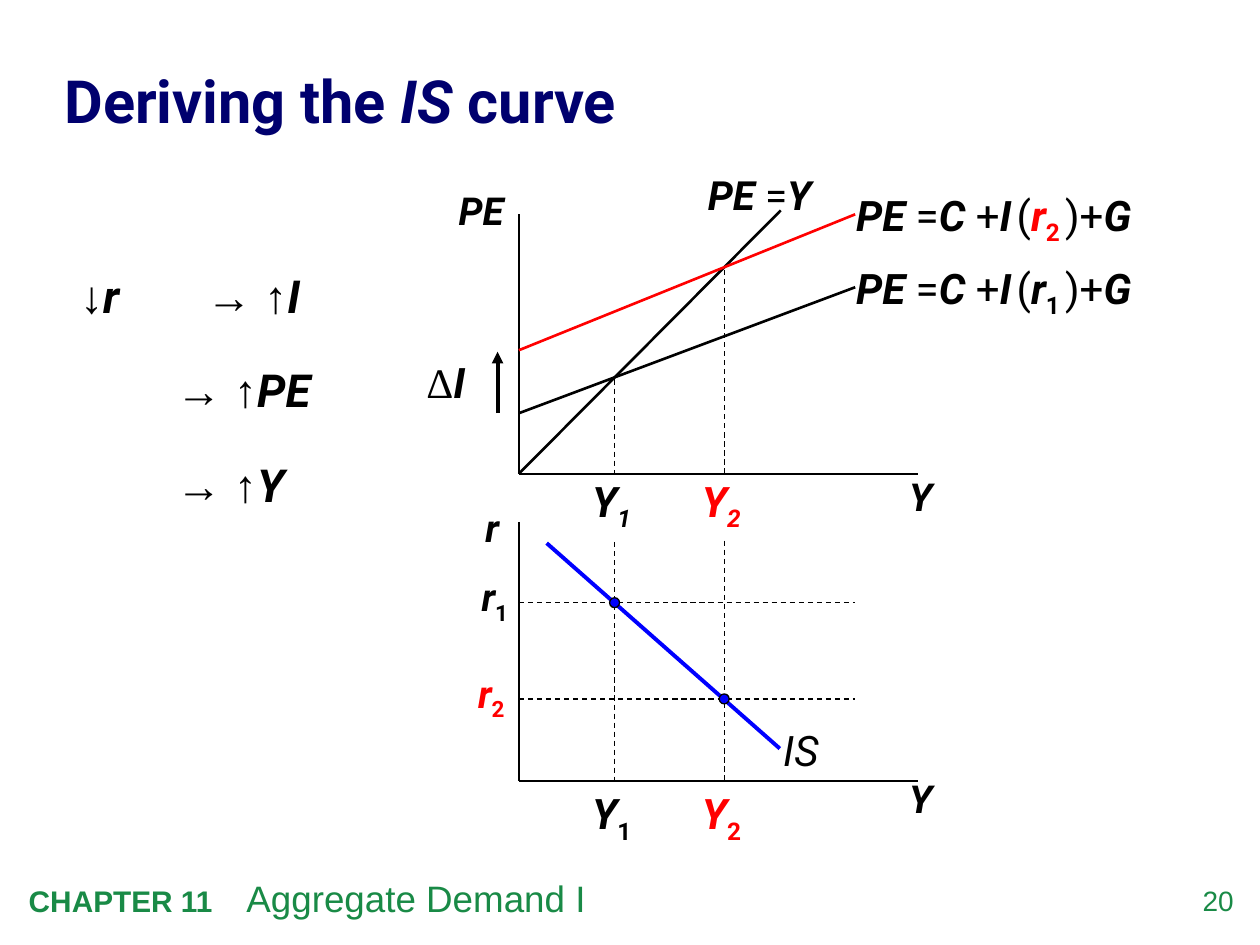
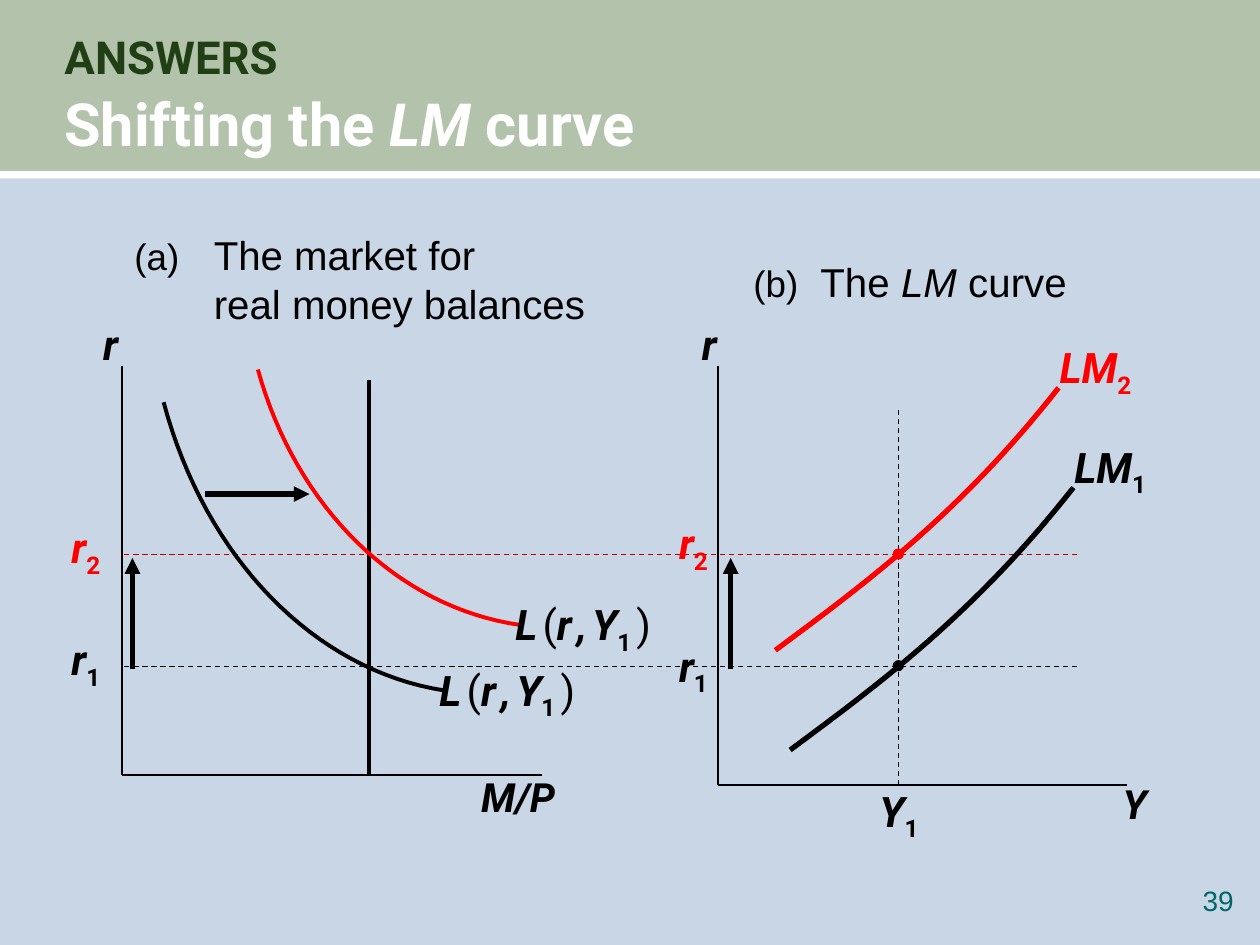
from pptx import Presentation
from pptx.dml.color import RGBColor
from pptx.enum.dml import MSO_LINE
from pptx.enum.shapes import MSO_CONNECTOR as Link, MSO_SHAPE as Shape
from pptx.enum.text import MSO_ANCHOR as Anchor, PP_ALIGN as Align
from pptx.oxml.ns import qn
from pptx.util import Cm, Pt
from lxml.etree import SubElement as Sub

INK = RGBColor(0, 0, 0)
WHITE = RGBColor(255, 255, 255)
RED = RGBColor(255, 0, 0)
WINE = RGBColor(0xC0, 0, 0)
BLUE = RGBColor(0, 0, 255)
NAVY = RGBColor(0, 0, 0x6E)
GREEN = RGBColor(0x19, 0x8A, 0x46)
TEAL = RGBColor(0, 0x66, 0x66)
MOSS = RGBColor(0x20, 0x3F, 0x15)
SAGE = RGBColor(0xB3, 0xC2, 0xAA)
SKY = RGBColor(0xC9, 0xD6, 0xE5)

PLAIN = dict(bold=False, italic=False)
ROMAN = dict(italic=False)
LOW = dict(sub=True, italic=False)
ARIAL = dict(font="Arial", **PLAIN)
GAP = (" ", dict(size=12))
SNUG = (0.13, 0.13, 0.13, 0.25)


def text(slide, box, runs, align=Align.LEFT, anchor=Anchor.TOP, inset=(0.25, 0.13, 0.25, 0.13),
         fill=None, lead=None, tab=None, hang=None, **base):
    """Add a text box whose runs are strings or (string, format) pairs."""
    shape = slide.shapes.add_textbox(*map(Cm, box))
    frame = shape.text_frame
    frame.word_wrap, frame.vertical_anchor = True, anchor
    (frame.margin_left, frame.margin_top,
     frame.margin_right, frame.margin_bottom) = map(Cm, inset)
    if fill is not None:
        shape.fill.solid()
        shape.fill.fore_color.rgb = fill
    para = frame.paragraphs[0]
    para.alignment = align
    if lead:
        para.line_spacing = lead
    props = para._p.get_or_add_pPr()
    if tab:
        stops = Sub(props, qn("a:tabLst"))
        Sub(stops, qn("a:tab"), pos=str(Cm(tab)), algn="l")
    if hang:
        props.set("marL", str(Cm(hang)))
        props.set("indent", str(-Cm(hang)))
    look = dict(size=24, color=INK, font="Roboto", bold=True, italic=True, sub=False)
    for item in [runs] if isinstance(runs, str) else runs:
        words, extra = (item, {}) if isinstance(item, str) else item
        form = {**look, **base, **extra}
        for i, piece in enumerate(words.split("\v")):
            if i:
                para.add_line_break()
            if not piece:
                continue
            run = para.add_run()
            run.text = piece
            font = run.font
            font.name, font.size = form["font"], Pt(form["size"])
            font.bold, font.italic = form["bold"], form["italic"]
            font.color.rgb = form["color"]
            if form["sub"]:
                run._r.get_or_add_rPr().set("baseline", "-25000")


def line(slide, x1, y1, x2, y2, width=1, color=INK, dash=False, arrow=False):
    """Add a straight line, dashed or with an arrowhead at its end."""
    link = slide.shapes.add_connector(Link.STRAIGHT, *map(Cm, (x1, y1, x2, y2)))
    link.line.width = Pt(width)
    link.line.color.rgb = color
    if dash:
        link.line.dash_style = MSO_LINE.DASH
    if arrow:
        Sub(link.line._get_or_add_ln(), qn("a:tailEnd"), type="triangle")
    Sub(link._element.spPr, qn("a:effectLst"))


def block(slide, kind, box, fill, edge=None):
    """Add a filled preset shape."""
    shape = slide.shapes.add_shape(kind, *map(Cm, box))
    shape.shadow.inherit = False
    shape.fill.solid()
    shape.fill.fore_color.rgb = fill
    if edge is None:
        shape.line.fill.background()
    else:
        shape.line.color.rgb = edge
        shape.line.width = Pt(0.75)


def dot(slide, x, y, fill, edge=None):
    """Mark a point of balance."""
    block(slide, Shape.OVAL, (x - 0.1, y - 0.1, 0.2, 0.2), fill, edge)


def curve(slide, x, y, knots, width, color):
    """Draw a cubic Bezier curve from four knots."""
    points = []
    for i in range(33):
        t = i / 32
        parts = ((1 - t) ** 3, 3 * t * (1 - t) ** 2, 3 * t * t * (1 - t), t ** 3)
        points.append((Cm(x + sum(p * k[0] for p, k in zip(parts, knots))),
                       Cm(y + sum(p * k[1] for p, k in zip(parts, knots)))))
    build = slide.shapes.build_freeform(*points[0])
    build.add_line_segments(points[1:], close=False)
    shape = build.convert_to_shape()
    shape.shadow.inherit = False
    shape.fill.background()
    shape.line.color.rgb = color
    shape.line.width = Pt(width)


def axes(slide, x, y, w, h):
    """Draw the two axes of a graph."""
    line(slide, x, y, x, y + h)
    line(slide, x, y + h, x + w, y + h)


def page(deck, back):
    """Add a blank slide with a plain background."""
    slide = deck.slides.add_slide(deck.slide_layouts[6])
    slide.background.fill.solid()
    slide.background.fill.fore_color.rgb = back
    return slide


def title(slide, y, runs, **form):
    """Place the slide title."""
    text(slide, (1.3, y, 22.91, 2.62), runs, anchor=Anchor.MIDDLE, inset=(0, 0, 0, 0),
         lead=1.05, size=34, italic=False, **form)


def number(slide, num, color):
    """Place the slide number."""
    text(slide, (23.47, 17.81, 1.4, 0.81), num, align=Align.RIGHT, inset=(0, 0, 0, 0),
         size=16, color=color, **ARIAL)


def footer(slide):
    """Place the chapter line."""
    text(slide, (0.33, 17.53, 20.78, 1.14),
         [("CHAPTER 11\t", dict(size=17, bold=True)), "Aggregate Demand I"],
         tab=4.39, size=21, color=GREEN, **ARIAL)


def drops(slide, x, top, mid, low):
    """Carry each income level down through both graphs."""
    for num, dx, dy, color in (("2", 4.14, 1.12, RED), ("1", 1.93, 3.33, INK)):
        left = x + dx - 0.58
        text(slide, (left, low, 1.27, 1.4), ["Y", (num, LOW)],
             inset=SNUG, fill=WHITE, color=color)
        line(slide, x + dx, top + dy, x + dx, low, 0.75, dash=True)
        text(slide, (left, mid, 1.27, 1.27), ["Y", (num, dict(sub=True))],
             inset=(0.13, 0, 0.13, 0.25), fill=WHITE, color=color)


def chain(slide, x, y):
    """List the steps of the argument."""
    steps = ((0, 2.54, "r", "I"), (1.9, 1.93, "", "PE"), (3.81, 1.93, "", "Y"))
    for dy, tab, cause, effect in steps:
        start = [("↓", ARIAL), cause] if cause else []
        text(slide, (x, y + dy, 5.72, 1.9), start + ["\t", ("→ ↑", ARIAL), effect],
             tab=tab, lead=1.1, size=26)


def cross(slide, x, y, w, h):
    """Draw the spending graph."""
    axes(slide, x, y, w, h)
    text(slide, (x + w - 0.43, y + h - 0.15, 1.47, 1.19), "Y", size=22)
    text(slide, (x - 1.52, y - 0.69, 1.52, 1.19), "PE", align=Align.CENTER, size=22)
    line(slide, x, y + h, x + 5.28, y - 0.08, 1.5)
    for num, start, end, color in (("1", 4.01, 1.47, INK), ("2", 2.74, 0, RED)):
        line(slide, x, y + start, x + 6.78, y + end, 1.5, color)
        tint = dict(color=color)
        text(slide, (x + 6.55, y + end - 0.63, 7.19, 1.27),
             ["PE ", ("=", PLAIN), "C ", ("+", PLAIN), "I", GAP, ("(", PLAIN),
              ("r", tint), (num, {**LOW, **tint}), GAP, (")+", PLAIN), "G"])
    text(slide, (x + 3.56, y - 1.02, 3.3, 1.24), ["PE ", ("=", PLAIN), "Y"], size=23)
    text(slide, (x - 2.31, y + 2.74, 1.68, 1.27),
         [("Δ", dict(font="Times New Roman", **PLAIN)), "I"], align=Align.CENTER)
    line(slide, x - 0.43, y + 4.01, x - 0.43, y + 2.77, 2.25, arrow=True)


def demand(slide, x, y, w, h):
    """Draw the IS graph."""
    axes(slide, x, y, w, h)
    text(slide, (x - 1.07, y - 0.48, 1.07, 1.19), "r", align=Align.CENTER, size=22)
    text(slide, (x + w - 0.43, y + h - 0.25, 1.47, 1.19), "Y", size=22)
    rates = (("1", 1.93, 1.63, -1.12, INK), ("2", 4.14, 3.57, -1.19, RED))
    for num, _, dy, left, color in rates:
        line(slide, x, y + dy, x + 6.78, y + dy, 0.75, dash=True)
        text(slide, (x + left, y + dy - 0.72, 1.27, 1.19), ["r", (num, LOW)],
             align=Align.CENTER, size=22, color=color)
    line(slide, x + 0.56, y + 0.43, x + 5.26, y + 4.57, 2.25, BLUE)
    text(slide, (x + 5.08, y + 3.96, 1.47, 1.27), "IS", bold=False)
    for _, dx, dy, _, _ in rates:
        dot(slide, x + dx, y + dy, BLUE, INK)


def band(slide, w, h):
    """Draw the title band and its rule."""
    block(slide, Shape.RECTANGLE, (0, 0, w, h), SAGE)
    block(slide, Shape.RECTANGLE, (0, h - 0.1, w, 0.15), WHITE)


def market(slide, x, y, w, h):
    """Draw the money market graph."""
    axes(slide, x, y, w, h)
    text(slide, (x - 0.63, y - 1.07, 1.27, 1.27), "r")
    text(slide, (x + 6.99, y + h - 0.18, 2.54, 1.22), "M/P", size=23)
    line(slide, x + 4.98, y + h, x + 4.98, y + 0.3, 2.25)
    first = ((6.5, 6.55), (3.89, 6.15), (1.68, 3.89), (0.84, 0.74))
    later = ((8.03, 5.23), (5.56, 4.88), (3.51, 2.87), (2.74, 0.08))
    for knots, color in ((first, INK), (later, RED)):
        curve(slide, x, y, knots, 2.25, color)
        end, drop = knots[0]
        text(slide, (x + end - 0.35, y + drop - 0.66, 4.19, 1.27),
             ["L", GAP, ("(", PLAIN), "r", GAP, ",", GAP, "Y", ("1", LOW), GAP, (")", PLAIN)])
    line(slide, x + 1.68, y + 2.59, x + 3.78, y + 2.59, 3, arrow=True)


def supply(slide, x, y, w, h):
    """Draw the LM graph."""
    axes(slide, x, y, w, h)
    text(slide, (x - 0.58, y - 1.07, 1.27, 1.27), "r")
    text(slide, (x + w - 0.33, y + h - 0.25, 1.27, 1.22), "Y", size=23)
    line(slide, x + 3.63, y + h, x + 3.63, y + 0.84, 0.75, dash=True)
    text(slide, (x + 3, y + h - 0.13, 1.47, 1.4), ["Y", ("1", LOW)])
    knots = ((1.45, 7.75), (3.3, 6.38), (5.18, 4.98), (7.16, 2.46))
    for num, dx, dy, rate, color in (("1", 0, 0, 6.05, INK), ("2", -0.3, -2.01, 3.8, RED)):
        curve(slide, x + dx, y + dy, knots, 3, color)
        text(slide, (x + dx + 6.93, y + dy + 1.4, 2.54, 1.27), ["LM", (num, LOW)], color=color)
        dot(slide, x + 3.63, y + rate, color, color)


def rates(slide, x, mid, right):
    """Carry both interest rates across the two graphs."""
    rows = (("1", 13.44, -0.66, INK, INK), ("2", 11.18, -0.87, RED, WINE))
    for num, y, lift, color, rule in rows:
        line(slide, right, y, x, y, 0.75, rule, dash=True)
        runs = ["r", (num, LOW)]
        text(slide, (x - 1.27, y - 0.79, 1.27, 1.4), runs,
             inset=(0.25, 0.13, 0, 0.25), color=color)
        text(slide, (mid - 1.25, y + lift, 1.04, 1.4), runs, align=Align.RIGHT,
             inset=(0.25, 0.13, 0, 0.25), color=color)
    for left in (x + 0.21, mid + 0.25):
        line(slide, left, 13.49, left, 11.25, 3, arrow=True)


def derive(deck):
    """Build the slide that derives the IS curve."""
    slide = page(deck, WHITE)
    number(slide, "20", GREEN)
    footer(slide)
    drops(slide, 10.46, 4.32, 9.58, 15.75)
    title(slide, 0.66, ["Deriving the ", ("IS", dict(italic=True)), " curve"], color=NAVY)
    chain(slide, 1.37, 5.16)
    cross(slide, 10.46, 4.32, 8.05, 5.23)
    demand(slide, 10.46, 10.52, 8.05, 5.23)


def shift(deck):
    """Build the slide that shifts the LM curve."""
    slide = page(deck, SKY)
    band(slide, 25.4, 3.55)
    title(slide, 0.56, [("ANSWERS\v", dict(size=26, color=MOSS)), "Shifting the ",
                        ("LM", dict(italic=True)), " curve"], color=WHITE)
    number(slide, "39", TEAL)
    text(slide, (2.46, 4.52, 9.96, 2.21),
         [("(a)", dict(size=21)), "\tThe market for\vreal money balances"],
         hang=1.6, size=23, **ARIAL)
    text(slide, (14.94, 5.05, 7.62, 1.22),
         [("(b)", dict(size=21)), "\tThe ", ("LM", dict(italic=True)), " curve"],
         tab=1.35, size=23, **ARIAL)
    rates(slide, 2.46, 14.48, 21.72)
    market(slide, 2.46, 7.37, 8.46, 8.25)
    supply(slide, 14.48, 7.37, 8.23, 8.46)


deck = Presentation()
deck.slide_width, deck.slide_height = Cm(25.4), Cm(19.05)
derive(deck)
shift(deck)
deck.save("out.pptx")
